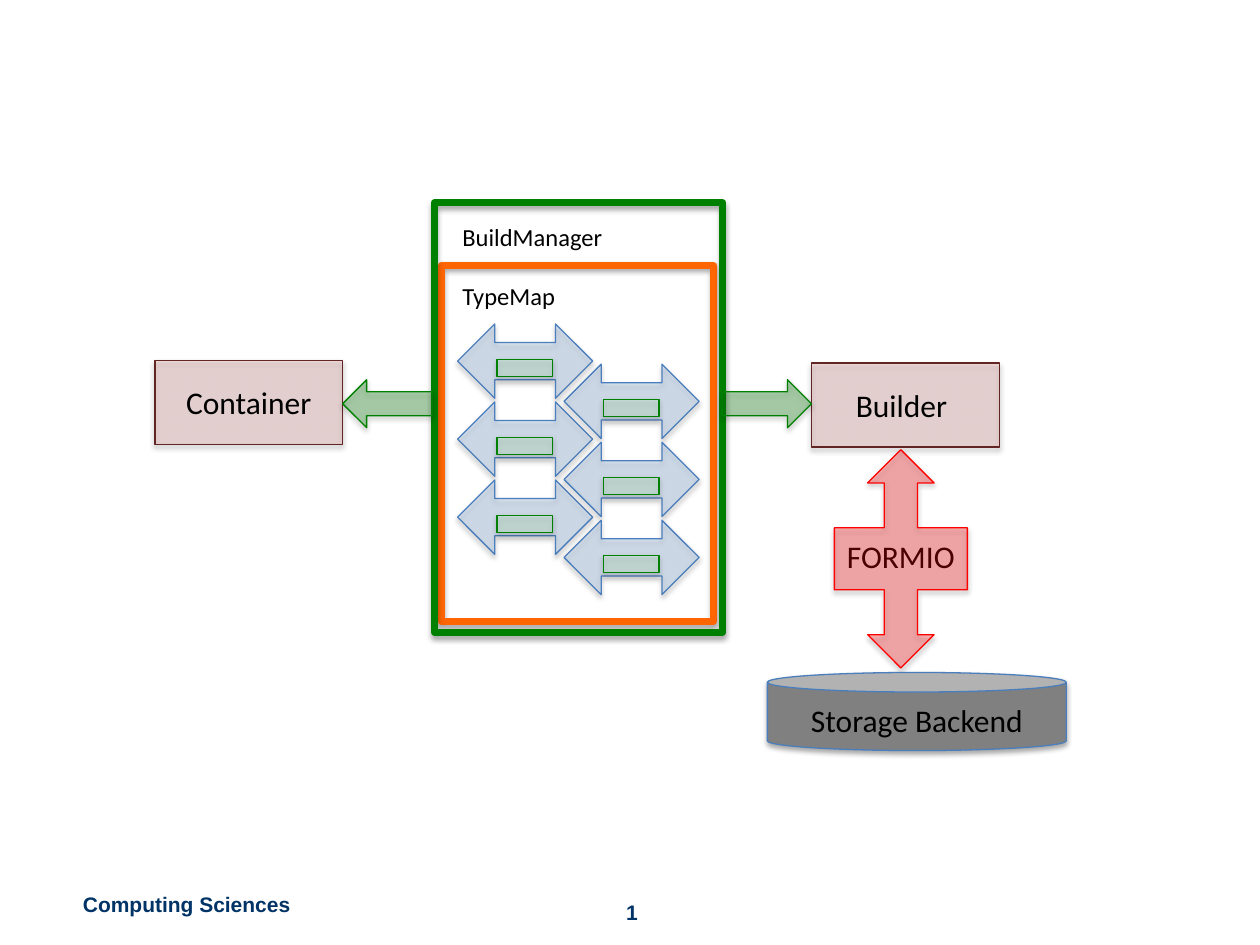
from lxml.etree import SubElement
from pptx import Presentation
from pptx.dml.color import RGBColor
from pptx.enum.shapes import MSO_SHAPE as KIND
from pptx.enum.text import MSO_ANCHOR, PP_ALIGN
from pptx.oxml.ns import qn
from pptx.util import Pt

HUES = {
    "ink": "000000", "navy": "003366", "rose": "D99694", "wine": "632523",
    "sky": "8EB4E3", "blue": "4B7EBC", "mint": "CCFFCC", "green": "008000",
    "orange": "FF6600", "red": "FF0000", "gray": "808080",
}


def tint(name):
    """Return the named colour."""
    return RGBColor.from_string(HUES[name])


def shade(shape):
    """Give a shape a soft shadow straight below it."""
    shape.shadow.inherit = False
    effects = shape._element.spPr.find(qn("a:effectLst"))
    drop = SubElement(effects, qn("a:outerShdw"), blurRad=str(Pt(3.1)),
                      dist=str(Pt(1.8)), dir="5400000", rotWithShape="0")
    black = SubElement(drop, qn("a:srgbClr"), val=HUES["ink"])
    SubElement(black, qn("a:alpha"), val="35000")


def draw(slide, kind, box, line, fill=None, alpha=29, width=0.75):
    """Add a shadowed preset shape with an optional tinted fill."""
    shape = slide.shapes.add_shape(kind, *map(Pt, box))
    if fill:
        shape.fill.solid()
        shape.fill.fore_color.rgb = tint(fill)
        if alpha < 100:
            color = shape._element.spPr.find(qn("a:solidFill"))[0]
            SubElement(color, qn("a:alpha"), val=str(alpha * 1000))
    else:
        shape.fill.background()
    shape.line.color.rgb = tint(line)
    shape.line.width = Pt(width)
    shade(shape)
    return shape


def write(slide, text, box, size=18, font="Calibri", hue="ink", bold=False,
          align=PP_ALIGN.CENTER, anchor=MSO_ANCHOR.TOP, wrap=True):
    """Add a one-line text box."""
    frame = slide.shapes.add_textbox(*map(Pt, box)).text_frame
    frame.word_wrap = wrap
    frame.vertical_anchor = anchor
    line = frame.paragraphs[0]
    line.alignment = align
    run = line.add_run()
    run.text = text
    run.font.name = font
    run.font.size = Pt(size)
    run.font.bold = bold
    run.font.color.rgb = tint(hue)


def footer(slide, box):
    """Place the group name and page number in the bottom band."""
    left, top, width, height = box
    look = dict(size=12, font="Arial", hue="navy", bold=True)
    write(slide, "Computing Sciences", (left, top + 2.8, 134.6, 21.8),
          align=PP_ALIGN.LEFT, wrap=False, **look)
    write(slide, "1", (left + width - 167.8, top, 167.8, height),
          anchor=MSO_ANCHOR.BOTTOM, **look)


def node(slide, text, box, shift=0):
    """Draw a rose box with its label."""
    left, top, width, height = box
    draw(slide, KIND.RECTANGLE, box, "wine", "rose")
    write(slide, text, (left + shift, top + 9.6, width, 28.8))


def mapper(slide, box):
    """Draw one two-way arrow with its green slot."""
    left, top, width, height = box
    draw(slide, KIND.LEFT_RIGHT_ARROW, box, "blue", "sky")
    draw(slide, KIND.RECTANGLE, (left + 22.6, top + 20.3, 31.7, 9.6),
         "green", "mint")


def manager(slide, box):
    """Draw the build manager, its type map and two columns of arrows."""
    left, top, width, height = box
    for dx, dy in ((13.2, 69.2), (74, 92.2)):
        for row in range(3):
            mapper(slide, (left + dx, top + dy + row * 44.6, 77.2, 42.5))
    draw(slide, KIND.RECTANGLE, (left + 4, top + 35.9, 155.5, 203.2),
         "orange", width=4)
    draw(slide, KIND.RECTANGLE, box, "green", width=4)
    for text, dy in (("TypeMap", 41.2), ("BuildManager", 7.2)):
        write(slide, text, (left + 8.8, top + dy, 123.8, 24.5), size=14,
              align=PP_ALIGN.LEFT)


def links(slide, box):
    """Draw the green arrows that point outward from the manager."""
    left, top, width, height = box
    for x, turn in ((left + width - 51.1, 0), (left, 180)):
        arrow = draw(slide, KIND.RIGHT_ARROW, (x, top, 51.1, height),
                     "green", "green")
        arrow.rotation = turn


def bridge(slide, box):
    """Draw the red two-way callout over its label."""
    left, top, width, height = box
    write(slide, "FORMIO", (left - 7.5, top + 46.1, width + 15, 28.8))
    call = draw(slide, KIND.UP_DOWN_ARROW_CALLOUT, box, "red", "red")
    for spot, value in enumerate((0.25, 0.25, 0.25, 0.284)):
        call.adjustments[spot] = value


def store(slide, box):
    """Draw the storage drum with its label."""
    left, top, width, height = box
    draw(slide, KIND.CAN, box, "blue", "gray", alpha=100)
    write(slide, "Storage Backend", (left, top + 12.5, width, 28.8))


def main():
    """Build the slide and save it."""
    deck = Presentation()
    deck.slide_width, deck.slide_height = Pt(720), Pt(540)
    slide = deck.slides.add_slide(deck.slide_layouts[6])
    footer(slide, (40.3, 503.3, 404.7, 28.8))
    node(slide, "Container", (88.5, 206, 107.3, 48))
    node(slide, "Builder", (463.7, 207.4, 107.3, 48), shift=-2.2)
    manager(slide, (248.3, 115.9, 164.7, 245.3))
    links(slide, (195.8, 217, 267.9, 27.4))
    bridge(slide, (476.8, 257, 76, 124.7))
    store(slide, (438.5, 384.3, 170.8, 44.6))
    deck.save("out.pptx")


if __name__ == "__main__":
    main()
